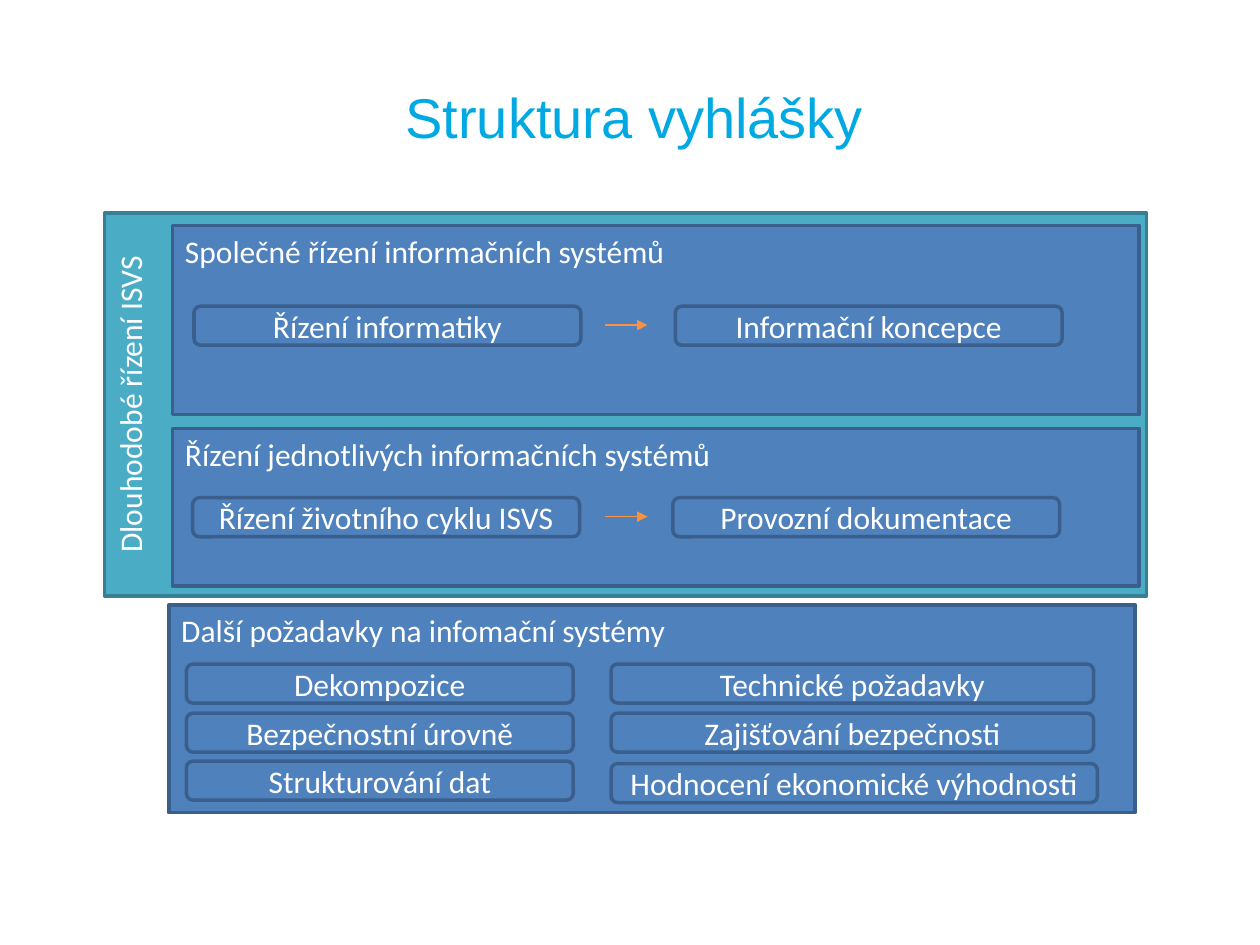
from lxml import etree
from pptx import Presentation
from pptx import util as u
from pptx.dml.color import RGBColor
from pptx.enum import shapes, text
from pptx.oxml import ns

BLUE, BLUE_EDGE = "4F81BD", "3A5F8C"
TEAL, TEAL_EDGE = "4BACC6", "377F92"
WHITE, ORANGE, TITLE_BLUE = "FFFFFF", "F69240", "00A9E2"
LEFT, CENTER = text.PP_ALIGN.LEFT, text.PP_ALIGN.CENTER
TOP, MIDDLE = text.MSO_ANCHOR.TOP, text.MSO_ANCHOR.MIDDLE


def color(value):
    return RGBColor.from_string(value)


def write(shape, words, align, anchor, size=18, font="Calibri", ink=WHITE):
    frame = shape.text_frame
    frame.word_wrap = True
    frame.vertical_anchor = anchor
    para = frame.paragraphs[0]
    para.text = words
    para.alignment = align
    para.font.size = u.Pt(size)
    para.font.name = font
    para.font.color.rgb = color(ink)


def add_box(page, kind, place, words, align, anchor, fill=BLUE, edge=BLUE_EDGE):
    box = page.shapes.add_shape(kind, *map(u.Inches, place))
    box.shadow.inherit = False
    box.fill.solid()
    box.fill.fore_color.rgb = color(fill)
    box.line.color.rgb = color(edge)
    box.line.width = u.Pt(2)
    write(box, words, align, anchor)
    return box


def add_panel(page, left, top, height, words):
    place = (left, top, 7.67, height)
    add_box(page, shapes.MSO_SHAPE.RECTANGLE, place, words, LEFT, TOP)


def add_item(page, left, top, words, width=3.07):
    place = (left, top, width, 0.31)
    add_box(page, shapes.MSO_SHAPE.ROUNDED_RECTANGLE, place, words, CENTER, MIDDLE)


def add_frame(page):
    place = (0.83, 1.69, 8.27, 3.04)
    frame = add_box(page, shapes.MSO_SHAPE.RECTANGLE, place,
                    "Dlouhodobé řízení ISVS", CENTER, TOP, TEAL, TEAL_EDGE)
    frame.text_frame._txBody.bodyPr.set("vert", "vert270")


def add_title(page):
    place = (3.12, 0.3, 6.38, 1.25)
    title = page.shapes.add_textbox(*map(u.Inches, place))
    write(title, "Struktura vyhlášky", LEFT, MIDDLE, 32, "Arial", TITLE_BLUE)


def add_arrow(page, y):
    ends = (4.8, y, 5.14, y)
    arrow = page.shapes.add_connector(shapes.MSO_CONNECTOR.STRAIGHT, *map(u.Inches, ends))
    arrow.line.color.rgb = color(ORANGE)
    arrow.line.width = u.Pt(0.75)
    tail = etree.SubElement(arrow.line._get_or_add_ln(), ns.qn("a:tailEnd"))
    tail.set("type", "triangle")
    etree.SubElement(arrow._element.spPr, ns.qn("a:effectLst"))


def main():
    deck = Presentation()
    deck.slide_width, deck.slide_height = u.Inches(10), u.Inches(7.5)
    page = deck.slides.add_slide(deck.slide_layouts[6])

    add_frame(page)
    add_title(page)
    add_panel(page, 1.37, 1.79, 1.5, "Společné řízení informačních systémů")
    add_panel(page, 1.37, 3.4, 1.25, "Řízení jednotlivých informačních systémů")
    add_panel(page, 1.34, 4.8, 1.65, "Další požadavky na infomační systémy")

    flows = [
        (2.43, 1.54, "Řízení informatiky", 5.36, "Informační koncepce"),
        (3.95, 1.53, "Řízení životního cyklu ISVS", 5.34, "Provozní dokumentace"),
    ]
    for top, source_left, source, target_left, target in flows:
        add_item(page, source_left, top, source)
        add_item(page, target_left, top, target)
        add_arrow(page, top + 0.15)

    for top, words in zip((5.27, 5.66, 6.04),
                          ("Dekompozice", "Bezpečnostní úrovně", "Strukturování dat")):
        add_item(page, 1.48, top, words)

    requirements = [
        (5.27, "Technické požadavky", 3.83),
        (5.66, "Zajišťování bezpečnosti", 3.83),
        (6.06, "Hodnocení ekonomické výhodnosti", 3.86),
    ]
    for top, words, width in requirements:
        add_item(page, 4.85, top, words, width)

    deck.save("out.pptx")


if __name__ == "__main__":
    main()
